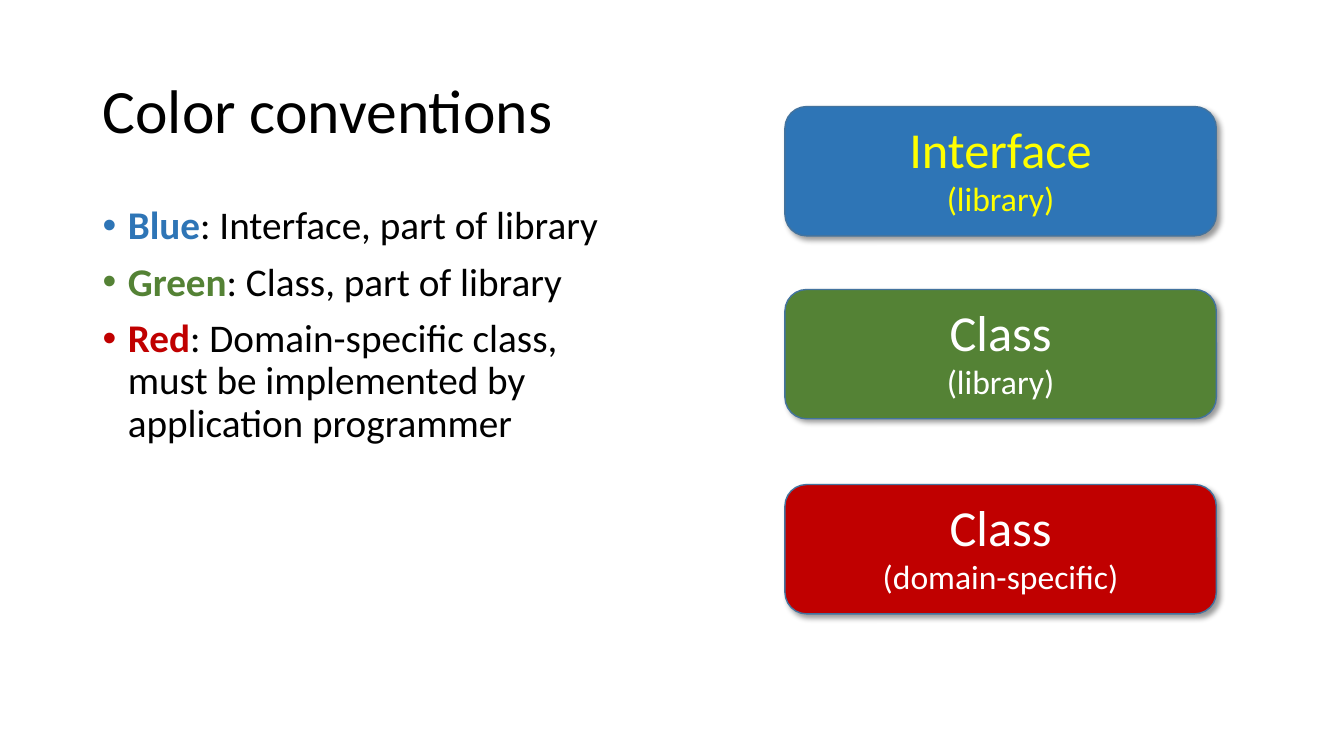
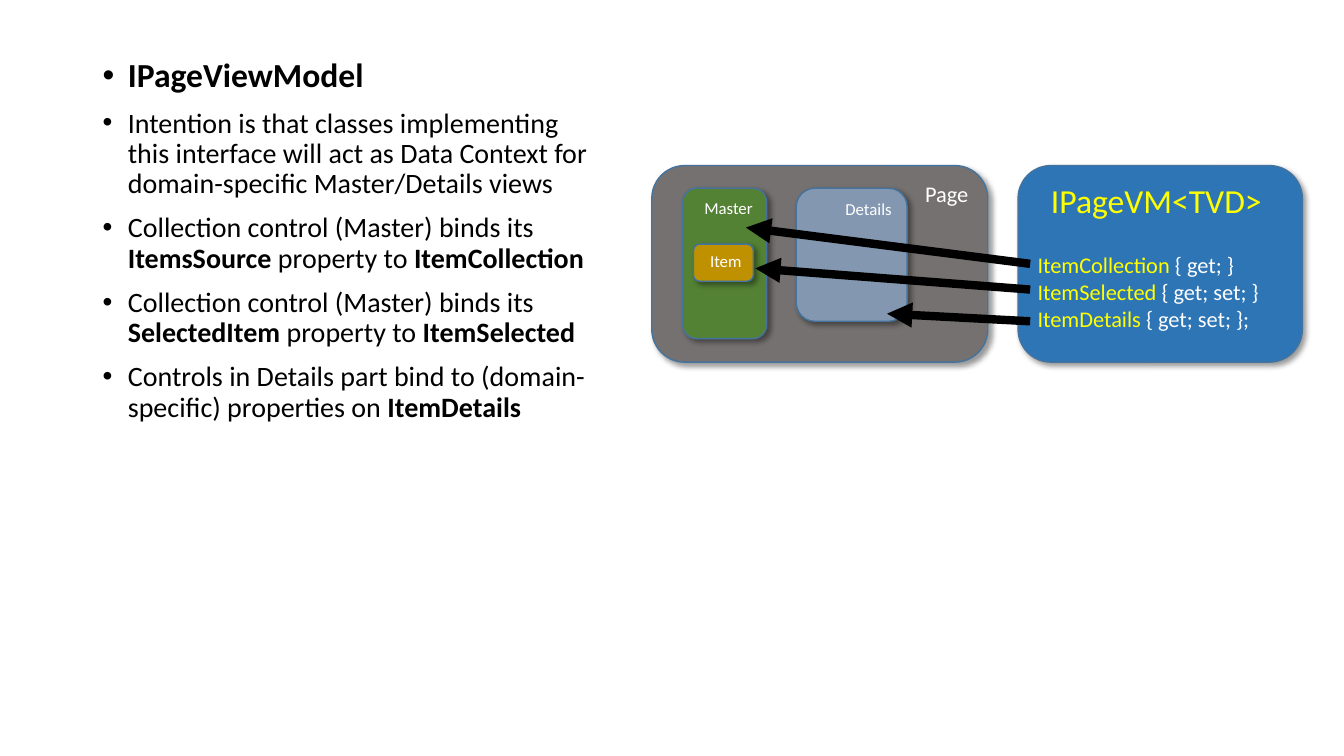
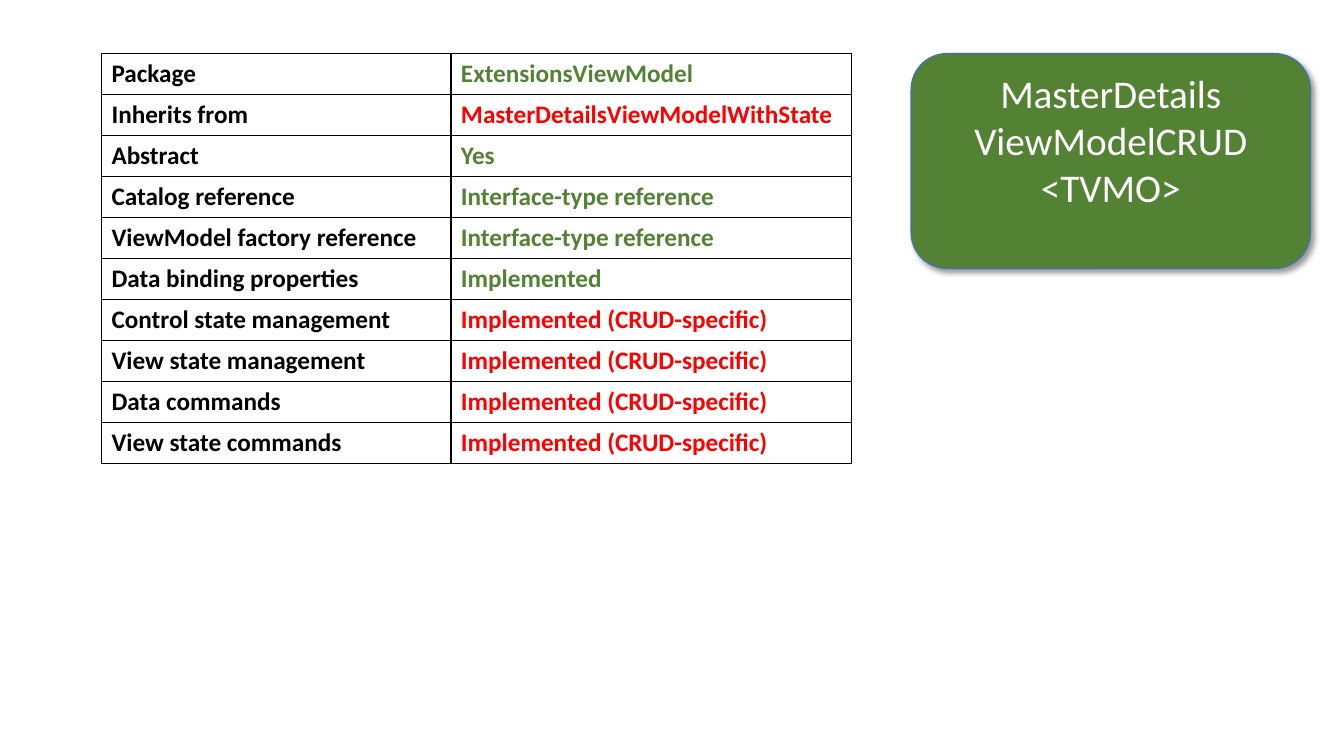
"""Build three slides on color conventions, page view models and the CRUD view model."""
from dataclasses import dataclass
from typing import NamedTuple

import lxml.etree
import pptx
import pptx.dml.color
import pptx.enum.shapes
import pptx.enum.text
import pptx.oxml.ns
import pptx.util

ALIGN = pptx.enum.text.PP_ALIGN
ANCHOR = pptx.enum.text.MSO_ANCHOR
SLIDE_WIDTH = pptx.util.Inches(13.333)
SLIDE_HEIGHT = pptx.util.Inches(7.5)
FONT = "Calibri"
BLACK, WHITE, YELLOW = "000000", "FFFFFF", "FFFF00"
BLUE, GREEN, DARK_RED, RED = "2E75B6", "548235", "C00000", "FF0000"
GRAY, SLATE, GOLD, OUTLINE = "767171", "8497B0", "BF9000", "43739E"


class Frame(NamedTuple):
    """Place and size as percentages of the slide."""

    left: float
    top: float
    width: float
    height: float


class Run(NamedTuple):
    """A stretch of text in one style."""

    text: str
    size: float
    color: str = BLACK
    bold: bool = False


@dataclass(frozen=True)
class Line:
    """One paragraph."""

    runs: tuple[Run, ...]
    align: ALIGN = ALIGN.LEFT
    space_before: float = 0
    spacing: float = 1.0
    bullet: bool = False


@dataclass(frozen=True)
class Box:
    """A rounded, shadowed box with text."""

    frame: Frame
    fill: str
    lines: tuple[Line, ...]


class Arrow(NamedTuple):
    """A straight arrow between two points."""

    start_x: float
    start_y: float
    end_x: float
    end_y: float


def across(percent: float) -> int:
    """Turn a share of the slide's width into a length."""
    return round(SLIDE_WIDTH * percent / 100)


def down(percent: float) -> int:
    """Turn a share of the slide's height into a length."""
    return round(SLIDE_HEIGHT * percent / 100)


def place(frame: Frame) -> tuple[int, int, int, int]:
    """Turn a frame into lengths."""
    return across(frame.left), down(frame.top), across(frame.width), down(frame.height)


def rgb(color: str) -> pptx.dml.color.RGBColor:
    """Turn a hex string into a colour."""
    return pptx.dml.color.RGBColor.from_string(color)


def add_xml(parent, tag: str, **attributes: str):
    """Append a child element with attributes."""
    return lxml.etree.SubElement(parent, pptx.oxml.ns.qn(tag), attributes)


def write_lines(text_frame, lines: tuple[Line, ...], anchor=ANCHOR.TOP) -> None:
    """Fill a text frame with paragraphs."""
    text_frame.word_wrap = True
    text_frame.vertical_anchor = anchor
    for index, line in enumerate(lines):
        paragraph = text_frame.add_paragraph() if index else text_frame.paragraphs[0]
        paragraph.alignment = line.align
        paragraph.line_spacing = line.spacing
        paragraph.space_before = pptx.util.Pt(line.space_before)
        if line.bullet:
            properties = paragraph._p.get_or_add_pPr()
            indent = pptx.util.Inches(0.25)
            properties.set("marL", str(indent))
            properties.set("indent", str(-indent))
            add_xml(properties, "a:buFont", typeface="Arial")
            add_xml(properties, "a:buChar", char="•")
        for part in line.runs:
            run = paragraph.add_run()
            run.text = part.text
            run.font.name = FONT
            run.font.size = pptx.util.Pt(part.size)
            run.font.bold = part.bold
            run.font.color.rgb = rgb(part.color)


def add_text(slide, frame: Frame, lines: tuple[Line, ...], anchor=ANCHOR.TOP) -> None:
    """Add a text box."""
    shape = slide.shapes.add_textbox(*place(frame))
    write_lines(shape.text_frame, lines, anchor)


def add_box(slide, box: Box) -> None:
    """Add a rounded box with the shared outline and shadow."""
    shape = slide.shapes.add_shape(
        pptx.enum.shapes.MSO_SHAPE.ROUNDED_RECTANGLE, *place(box.frame))
    shape.fill.solid()
    shape.fill.fore_color.rgb = rgb(box.fill)
    shape.line.color.rgb = rgb(OUTLINE)
    shape.line.width = pptx.util.Pt(1)
    shape.shadow.inherit = False
    effects = shape._element.spPr.find(pptx.oxml.ns.qn("a:effectLst"))
    shadow = add_xml(effects, "a:outerShdw", blurRad=str(pptx.util.Pt(4)),
                     dist=str(pptx.util.Pt(3)), dir="2700000", algn="tl", rotWithShape="0")
    add_xml(add_xml(shadow, "a:srgbClr", val=BLACK), "a:alpha", val="40000")
    write_lines(shape.text_frame, box.lines)


def add_arrow(slide, arrow: Arrow) -> None:
    """Add a thick black arrow."""
    connector = slide.shapes.add_connector(
        pptx.enum.shapes.MSO_CONNECTOR.STRAIGHT,
        across(arrow.start_x), down(arrow.start_y), across(arrow.end_x), down(arrow.end_y))
    connector.line.color.rgb = rgb(BLACK)
    connector.line.width = pptx.util.Pt(6)
    properties = connector._element.spPr
    add_xml(properties.find(pptx.oxml.ns.qn("a:ln")), "a:tailEnd", type="triangle")
    add_xml(properties, "a:effectLst")


def add_grid(slide, frame: Frame, widths: tuple[float, ...],
             rows: tuple[tuple[Run, ...], ...]) -> None:
    """Add an unfilled table with thin black borders."""
    table = slide.shapes.add_table(len(rows), len(widths), *place(frame)).table
    table.first_row = table.horz_banding = False
    for column, width in zip(table.columns, widths):
        column.width = across(width)
    for row, runs in zip(table.rows, rows):
        row.height = down(frame.height / len(rows))
        for cell, run in zip(row.cells, runs):
            properties = cell._tc.get_or_add_tcPr()
            for side in ("L", "R", "T", "B"):
                border = add_xml(properties, f"a:ln{side}", w=str(pptx.util.Pt(1)))
                add_xml(add_xml(border, "a:solidFill"), "a:srgbClr", val=BLACK)
            cell.fill.background()
            write_lines(cell.text_frame, (Line((run,)),))


def bullet(*runs: Run) -> Line:
    """Make a bulleted paragraph."""
    return Line(runs, space_before=10, spacing=0.9, bullet=True)


def build_conventions(slide) -> None:
    """Explain what each box colour means."""
    add_text(slide, Frame(6.9, 5.3, 86.25, 19.4),
             (Line((Run("Color conventions", 44),), spacing=0.9),), ANCHOR.MIDDLE)
    meanings = (
        ("Blue", BLUE, ": Interface, part of library"),
        ("Green", GREEN, ": Class, part of library"),
        ("Red", DARK_RED, ": Domain-specific class, must be implemented by "
                          "application programmer"),
    )
    add_text(slide, Frame(6.9, 26.6, 38.75, 63.5), tuple(
        bullet(Run(name, 28, color, True), Run(meaning, 28))
        for name, color, meaning in meanings))
    samples = (
        (14.1, BLUE, YELLOW, "Interface", "(library)"),
        (38.3, GREEN, WHITE, "Class", "(library)"),
        (64.1, DARK_RED, WHITE, "Class", "(domain-specific)"),
    )
    for top, fill, color, kind, origin in samples:
        add_box(slide, Box(Frame(58.4, top, 32.1, 17.1), fill, (
            Line((Run(kind, 36, color),), ALIGN.CENTER),
            Line((Run(origin, 24, color),), ALIGN.CENTER))))


def build_page_view_model(slide) -> None:
    """Show how page controls bind to the view model."""
    members = (("ItemCollection ", "{ get; }"), ("ItemSelected ", "{ get; set; }"),
               ("ItemDetails ", "{ get; set; };"))
    heading = Line((Run("IPageVM<TVD> ", 24, YELLOW),), ALIGN.CENTER)
    member_lines = tuple(
        Line((Run(name, 16, YELLOW), Run(access, 16, WHITE)),
             space_before=0 if index else 22)
        for index, (name, access) in enumerate(members))
    add_box(slide, Box(Frame(75.75, 21.9, 21.15, 26), BLUE, (heading, *member_lines)))

    bindings = (("ItemsSource ", "ItemCollection"), ("SelectedItem ", "ItemSelected"))
    add_text(slide, Frame(6.9, 7.1, 37.65, 82.3), (
        bullet(Run("IPageViewModel", 24, bold=True)),
        bullet(Run("Intention is that classes implementing this interface will act as "
                   "Data Context for domain-specific Master/Details views", 20)),
        *(bullet(Run("Collection control (Master) binds its ", 20),
                 Run(source, 20, bold=True), Run("property to ", 20),
                 Run(target, 20, bold=True)) for source, target in bindings),
        bullet(Run("Controls in Details part bind to (domain-specific) properties on ", 20),
               Run("ItemDetails", 20, bold=True))))

    controls = (
        ("Page", 16, GRAY, Frame(48.5, 21.9, 25, 26)),
        ("Master", 12, GREEN, Frame(50.8, 24.9, 6.25, 19.9)),
        ("Details", 12, SLATE, Frame(59.25, 24.9, 8.25, 17.6)),
        ("Item", 12, GOLD, Frame(51.6, 32.3, 4.45, 4.9)),
    )
    for name, size, fill, frame in controls:
        add_box(slide, Box(frame, fill, (Line((Run(name, size, WHITE),), ALIGN.RIGHT),)))
    for start_y, end_x, end_y in ((42.5, 66, 41.5), (38.3, 56.2, 35.5), (34.9, 55.5, 30.1)):
        add_arrow(slide, Arrow(76.65, start_y, end_x, end_y))


def build_crud_view_model(slide) -> None:
    """Summarise the CRUD view model class."""
    names = ("MasterDetails", "ViewModelCRUD", "<TVMO>")
    add_box(slide, Box(Frame(67.8, 7.1, 29.7, 28.4), GREEN, tuple(
        Line((Run(name, 28, WHITE),), ALIGN.CENTER) for name in names)))
    reference, specific = "Interface-type reference", "Implemented (CRUD-specific)"
    facts = (
        ("Package", "ExtensionsViewModel", GREEN),
        ("Inherits from", "MasterDetailsViewModelWithState", RED),
        ("Abstract", "Yes", GREEN),
        ("Catalog reference", reference, GREEN),
        ("ViewModel factory reference", reference, GREEN),
        ("Data binding properties", "Implemented", GREEN),
        ("Control state management", specific, RED),
        ("View state management", specific, RED),
        ("Data commands", specific, RED),
        ("View state commands", specific, RED),
    )
    add_grid(slide, Frame(7.55, 7.1, 55.8, 54.2), (26, 29.8), tuple(
        (Run(label, 18, bold=True), Run(value, 18, color, True))
        for label, value, color in facts))


def main() -> None:
    """Build and save the presentation."""
    presentation = pptx.Presentation()
    presentation.slide_width = SLIDE_WIDTH
    presentation.slide_height = SLIDE_HEIGHT
    blank = presentation.slide_layouts[6]
    for build in (build_conventions, build_page_view_model, build_crud_view_model):
        build(presentation.slides.add_slide(blank))
    presentation.save("out.pptx")


if __name__ == "__main__":
    main()
